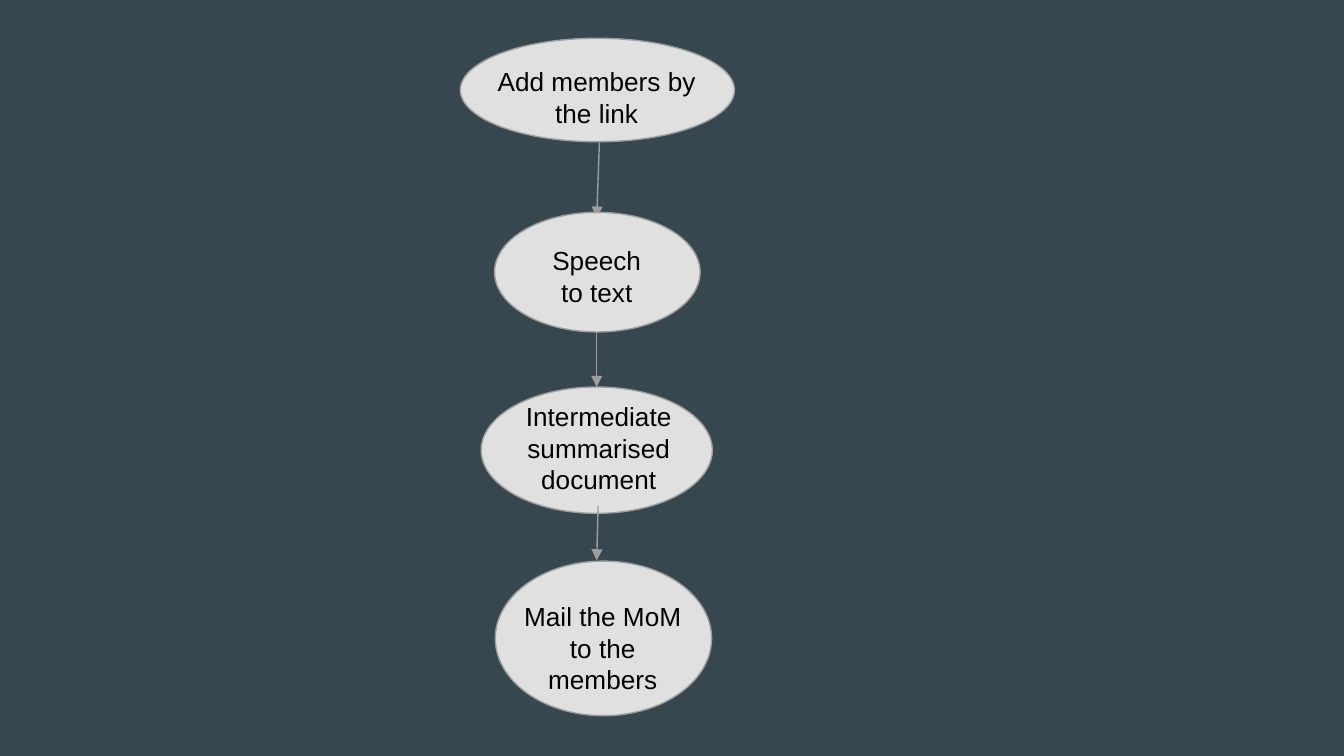
from lxml import etree
from pptx import Presentation
from pptx.dml.color import RGBColor
from pptx.enum.shapes import MSO_CONNECTOR, MSO_SHAPE
from pptx.enum.text import MSO_ANCHOR, PP_ALIGN
from pptx.oxml.ns import qn
from pptx.util import Pt

ELLIPSE = MSO_SHAPE.OVAL
STRAIGHT = MSO_CONNECTOR.STRAIGHT
TOP = MSO_ANCHOR.TOP
CENTER = PP_ALIGN.CENTER

EMU_PER_PX = 4572
SLIDE_WIDTH, SLIDE_HEIGHT = 2000, 1125
INSET = 20
BACKGROUND, BUBBLE, OUTLINE, INK = "37474F", "E0E0E0", "9E9E9E", "000000"

STEPS = [
    ("Add members by the link", (685, 57, 408, 154), (17, 21, 372, 134), (892, 212, 888, 324)),
    ("Speech to text", (736, 316, 306, 178), (54, 28, 196, 100), (888, 494, 888, 576)),
    ("Intermediate summarised document", (716, 576, 344, 188), (22, 0, 306, 178), (890, 753, 888, 834)),
    ("Mail the MoM to the members", (737, 835, 322, 230), (7, 39, 306, 154), None),
]


def px(length):
    return length * EMU_PER_PX


def color(value):
    return RGBColor.from_string(value)


def draw_outline(line):
    line.color.rgb = color(OUTLINE)
    line.width = Pt(0.75)


def add_step(slide, wording, box, label_box):
    left, top, width, height = box
    bubble = slide.shapes.add_shape(ELLIPSE, px(left), px(top), px(width), px(height))
    bubble.shadow.inherit = False
    bubble.fill.solid()
    bubble.fill.fore_color.rgb = color(BUBBLE)
    draw_outline(bubble.line)

    dx, dy, label_width, label_height = label_box
    label = slide.shapes.add_textbox(px(left + dx), px(top + dy), px(label_width), px(label_height))
    frame = label.text_frame
    frame.word_wrap = True
    frame.vertical_anchor = TOP
    frame.margin_left = frame.margin_right = px(INSET)
    frame.margin_top = frame.margin_bottom = px(INSET)
    paragraph = frame.paragraphs[0]
    paragraph.alignment = CENTER
    paragraph.line_spacing = 1.0
    run = paragraph.add_run()
    run.text = wording
    run.font.name = "Arial"
    run.font.size = Pt(14)
    run.font.color.rgb = color(INK)


def add_arrow(slide, ends):
    arrow = slide.shapes.add_connector(STRAIGHT, *map(px, ends))
    draw_outline(arrow.line)
    properties = arrow.element.spPr
    etree.SubElement(properties.find(qn("a:ln")), qn("a:tailEnd"), type="triangle")
    etree.SubElement(properties, qn("a:effectLst"))


def build_flow_slide(deck):
    slide = deck.slides.add_slide(deck.slide_layouts[6])
    fill = slide.background.fill
    fill.solid()
    fill.fore_color.rgb = color(BACKGROUND)
    for wording, box, label_box, ends in STEPS:
        add_step(slide, wording, box, label_box)
        if ends:
            add_arrow(slide, ends)


def main():
    deck = Presentation()
    deck.slide_width = px(SLIDE_WIDTH)
    deck.slide_height = px(SLIDE_HEIGHT)
    build_flow_slide(deck)
    deck.save("out.pptx")


if __name__ == "__main__":
    main()
